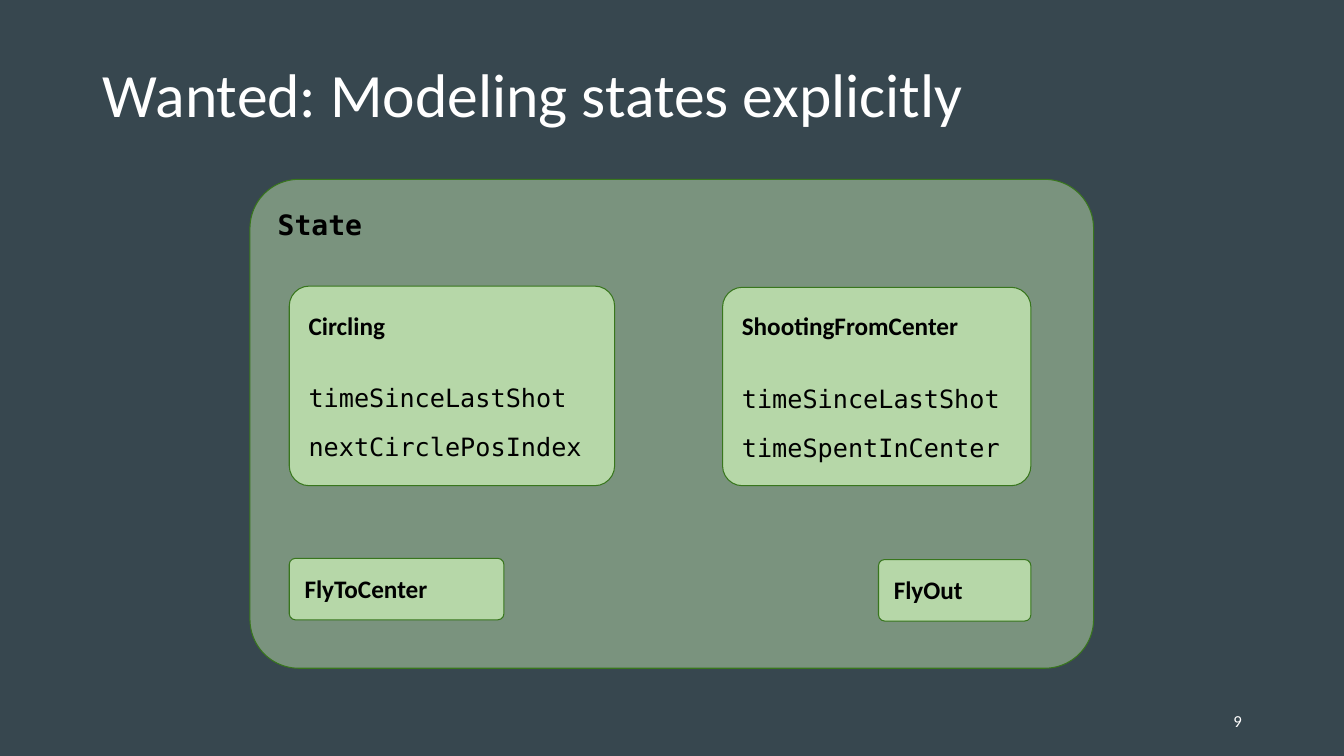
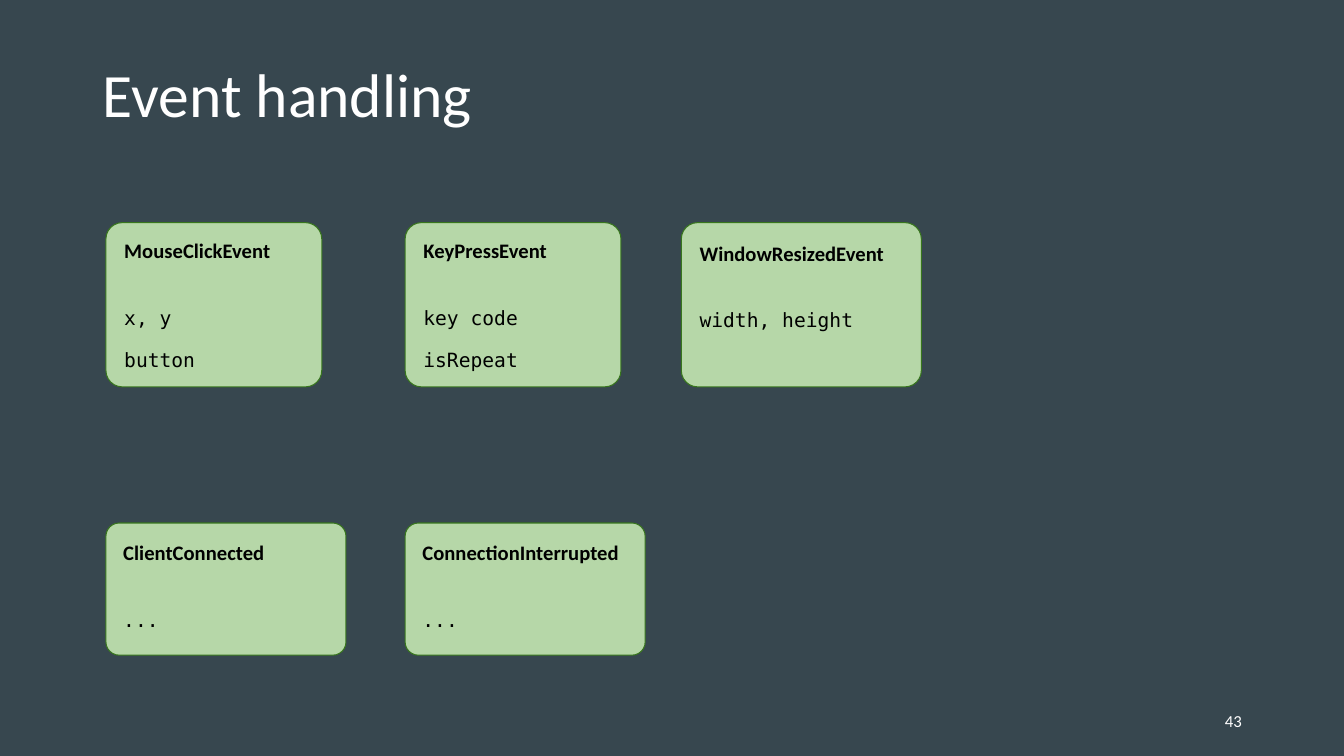
from dataclasses import dataclass

from lxml.etree import SubElement
from pptx import Presentation
from pptx.dml.color import RGBColor
from pptx.enum.shapes import MSO_SHAPE
from pptx.enum.text import MSO_ANCHOR, PP_ALIGN
from pptx.oxml.ns import qn
from pptx.presentation import Presentation as Deck
from pptx.shapes.shapetree import GroupShapes, SlideShapes
from pptx.slide import Slide
from pptx.text.text import _Paragraph as Paragraph
from pptx.util import Cm, Pt


@dataclass(frozen=True)
class Theme:
    background: RGBColor = RGBColor(0x37, 0x47, 0x4F)
    light_text: RGBColor = RGBColor(0xFF, 0xFF, 0xFF)
    dark_text: RGBColor = RGBColor(0, 0, 0)
    card_fill: RGBColor = RGBColor(0xB6, 0xD7, 0xA8)
    card_line: RGBColor = RGBColor(0x38, 0x76, 0x1D)
    sans: str = "Calibri"
    mono: str = "DejaVu Sans Mono"
    title_size: float = 44
    number_size: float = 12
    container_size: float = 20
    state_size: float = 18
    event_size: float = 14.7
    event_field_size: float = 14
    first_field_gap: float = 30.4
    field_gap: float = 13.3


THEME = Theme()


@dataclass(frozen=True)
class Card:
    name: str
    left: float
    top: float
    width: float
    height: float
    fields: tuple[str, ...] = ()
    name_size: float = THEME.state_size
    field_size: float = THEME.state_size
    name_font: str = THEME.sans
    opacity: int = 100
    anchor: MSO_ANCHOR = MSO_ANCHOR.TOP


STATES = (
    Card("State", 6.3, 4.52, 21.26, 12.32, name_size=THEME.container_size,
         name_font=THEME.mono, opacity=53),
    Card("Circling", 7.29, 7.21, 8.2, 5.03,
         ("timeSinceLastShot", "nextCirclePosIndex"), anchor=MSO_ANCHOR.MIDDLE),
    Card("FlyToCenter", 7.29, 14.07, 5.41, 1.55),
    Card("ShootingFromCenter", 18.21, 7.24, 7.77, 5,
         ("timeSinceLastShot", "timeSpentInCenter"), anchor=MSO_ANCHOR.MIDDLE),
    Card("FlyOut", 22.14, 14.1, 3.84, 1.55),
)

COLUMNS = (2.67, 10.21, 17.17)
INPUT_ROW, NETWORK_ROW = (5.61, 4.14), (13.18, 3.33)
NARROW, WIDE = 5.44, 6.05


def event(name: str, column: int, row: tuple[float, float], width: float,
          *fields: str) -> Card:
    top, height = row
    anchor = MSO_ANCHOR.MIDDLE if len(fields) > 1 else MSO_ANCHOR.TOP
    return Card(name, COLUMNS[column], top, width, height, fields,
                THEME.event_size, THEME.event_field_size, anchor=anchor)


EVENTS = (
    event("MouseClickEvent", 0, INPUT_ROW, NARROW, "x, y", "button"),
    event("KeyPressEvent", 1, INPUT_ROW, NARROW, "key code", "isRepeat"),
    event("WindowResizedEvent", 2, INPUT_ROW, WIDE, "width, height"),
    event("ClientConnected", 0, NETWORK_ROW, WIDE, "..."),
    event("ConnectionInterrupted", 1, NETWORK_ROW, WIDE, "..."),
)


def style(para: Paragraph, size: float, color: RGBColor, font: str = THEME.sans,
          bold: bool = False, align: PP_ALIGN = PP_ALIGN.LEFT) -> None:
    para.alignment = align
    for span in para.runs:
        span.font.name = font
        span.font.size = Pt(size)
        span.font.bold = bold
        span.font.color.rgb = color


def add_page(deck: Deck, title: str, number: int) -> Slide:
    page = deck.slides.add_slide(deck.slide_layouts.get_by_name("Title Only"))
    heading = page.shapes.title
    heading.left, heading.top = Cm(2.34), Cm(1.02)
    heading.width, heading.height = Cm(29.21), Cm(2.87)
    heading.text_frame.text = title
    heading.text_frame.vertical_anchor = MSO_ANCHOR.MIDDLE
    para = heading.text_frame.paragraphs[0]
    para.line_spacing = 0.9
    style(para, THEME.title_size, THEME.light_text)

    box = page.shapes.add_textbox(Cm(23.93), Cm(17.65), Cm(7.62), Cm(1.02))
    box.text_frame.word_wrap = True
    box.text_frame.vertical_anchor = MSO_ANCHOR.MIDDLE
    box.text_frame.text = str(number)
    style(box.text_frame.paragraphs[0], THEME.number_size, THEME.light_text,
          align=PP_ALIGN.RIGHT)
    return page


def add_card(shapes: SlideShapes | GroupShapes, card: Card) -> None:
    box = shapes.add_shape(MSO_SHAPE.ROUNDED_RECTANGLE, Cm(card.left), Cm(card.top),
                           Cm(card.width), Cm(card.height))
    box.adjustments[0] = 0.1
    box.shadow.inherit = False
    box.fill.solid()
    box.fill.fore_color.rgb = THEME.card_fill
    if card.opacity < 100:
        color = box.fill._xPr.find(qn("a:solidFill"))[0]
        SubElement(color, qn("a:alpha"), val=str(card.opacity * 1000))
    box.line.color.rgb = THEME.card_line
    box.line.width = Pt(0.75)

    frame = box.text_frame
    frame.word_wrap = True
    frame.vertical_anchor = card.anchor
    frame.margin_left = frame.margin_right = Cm(0.34)
    frame.margin_top = frame.margin_bottom = Cm(0.34)
    frame.text = card.name
    style(frame.paragraphs[0], card.name_size, THEME.dark_text, card.name_font, bold=True)
    for index, field in enumerate(card.fields):
        para = frame.add_paragraph()
        para.text = field
        para.space_before = Pt(THEME.field_gap if index else THEME.first_field_gap)
        style(para, card.field_size, THEME.dark_text, THEME.mono)


def main() -> None:
    deck = Presentation()
    deck.slide_width, deck.slide_height = Cm(33.87), Cm(19.05)
    backdrop = deck.slide_master.background.fill
    backdrop.solid()
    backdrop.fore_color.rgb = THEME.background

    page = add_page(deck, "Wanted: Modeling states explicitly", 9)
    diagram = page.shapes.add_group_shape()
    for card in STATES:
        add_card(diagram.shapes, card)

    page = add_page(deck, "Event handling", 43)
    for card in EVENTS:
        add_card(page.shapes, card)

    deck.save("out.pptx")


if __name__ == "__main__":
    main()
